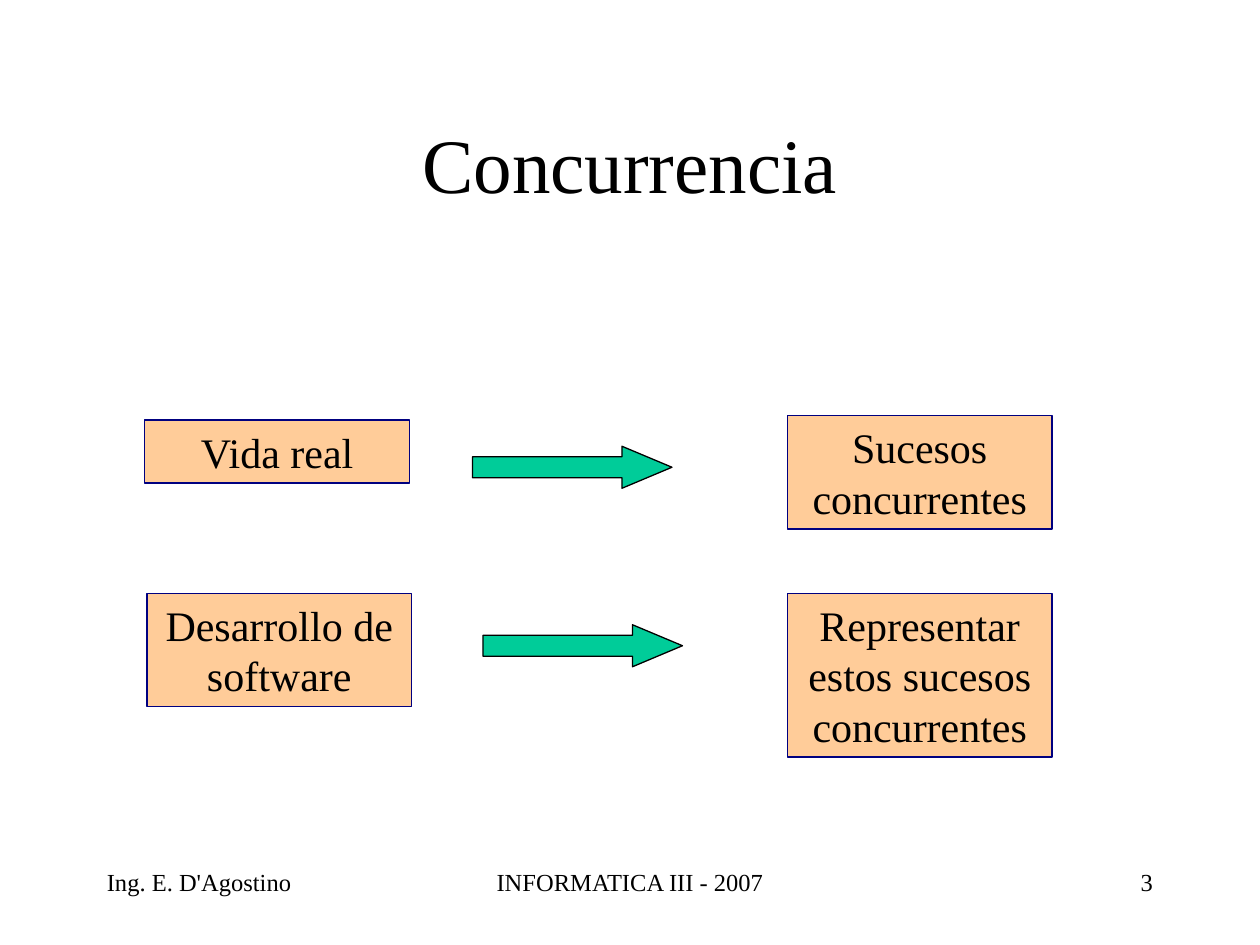
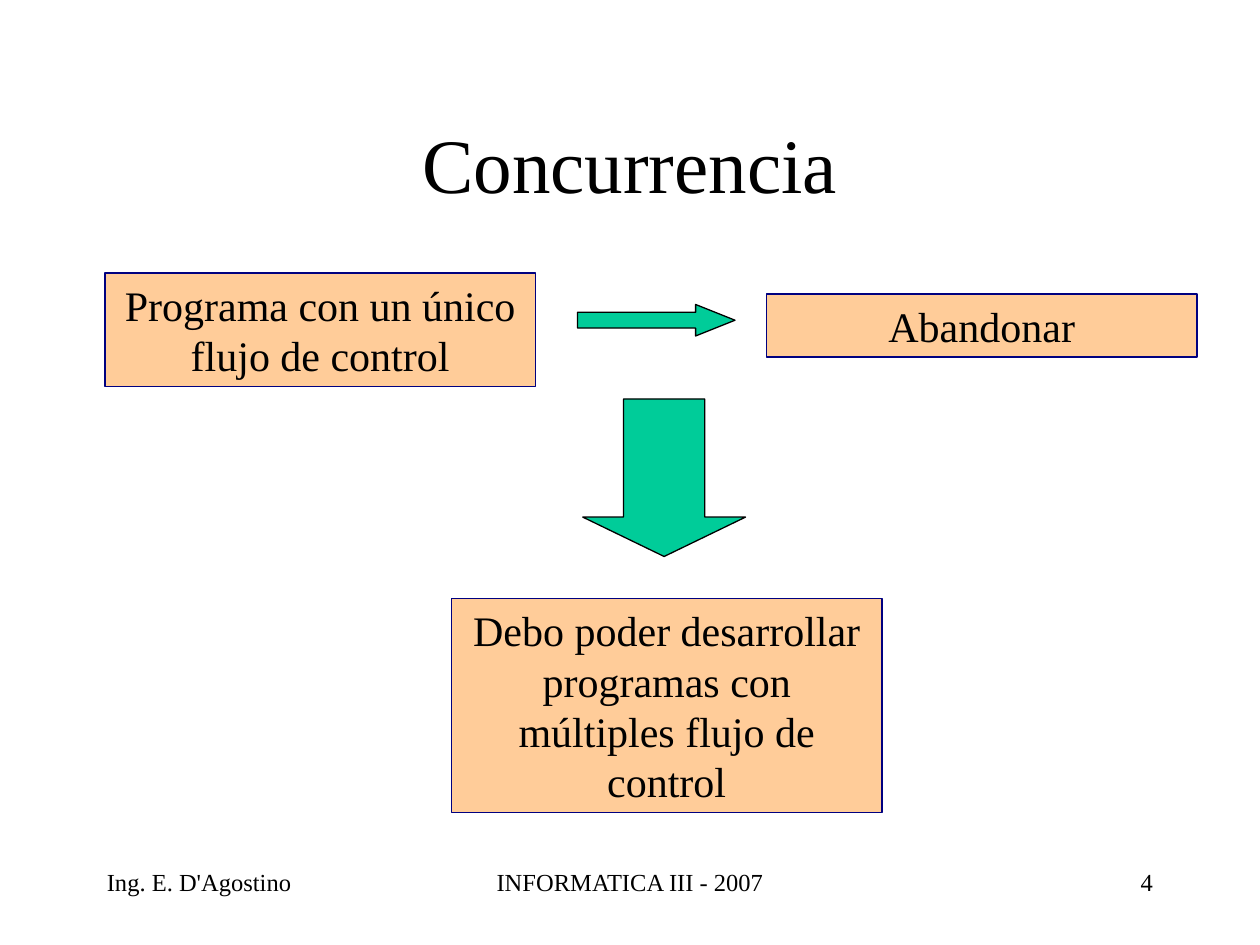
from dataclasses import dataclass

from pptx import Presentation
from pptx.dml.color import RGBColor
from pptx.enum.shapes import MSO_SHAPE as Preset
from pptx.enum.text import MSO_ANCHOR as Anchor, MSO_AUTO_SIZE as AutoSize, PP_ALIGN as Align
from pptx.util import Inches, Pt

COLOURS = {"ink": "000000", "box": "FFCC99", "box_edge": "000080", "arrow": "00CC99"}
FONT = "Times New Roman"
COLUMNS, ROWS = 120, 90
PAGE_WIDTH, PAGE_HEIGHT = Inches(10), Inches(7.5)
BOX_PADDING, LINE_ROWS = 1.2, 4.8


@dataclass(frozen=True)
class Area:
    column: float
    row: float
    columns: float
    rows: float

    def place(self) -> tuple[int, int, int, int]:
        across, down = PAGE_WIDTH / COLUMNS, PAGE_HEIGHT / ROWS
        return (round(self.column * across), round(self.row * down),
                round(self.columns * across), round(self.rows * down))


@dataclass(frozen=True)
class Label:
    text: str
    area: Area
    size: int
    align: Align
    anchor: Anchor = Anchor.TOP


@dataclass(frozen=True)
class Concept:
    text: str
    column: float
    row: float
    columns: float
    lines: int

    def area(self) -> Area:
        return Area(self.column, self.row, self.columns, BOX_PADDING + LINE_ROWS * self.lines)


@dataclass(frozen=True)
class Arrow:
    area: Area
    head: float
    preset: Preset = Preset.RIGHT_ARROW


@dataclass(frozen=True)
class Page:
    number: int
    concepts: tuple[Concept, ...]
    arrows: tuple[Arrow, ...]


NARROW, WIDE = 25.2, 41
PAGES = (
    Page(
        3,
        (
            Concept("Vida real", 13.8, 40, NARROW, 1),
            Concept("Sucesos concurrentes", 75, 39.6, NARROW, 2),
            Concept("Desarrollo de software", 14, 56.5, NARROW, 2),
            Concept("Representar estos sucesos concurrentes", 75, 56.5, NARROW, 3),
        ),
        (
            Arrow(Area(45, 42.5, 19, 4), 1.19),
            Arrow(Area(46, 59.5, 19, 4), 1.19),
        ),
    ),
    Page(
        4,
        (
            Concept("Programa con un único flujo de control", 10, 26, WIDE, 2),
            Concept("Abandonar", 73, 28, WIDE, 1),
            Concept("Debo poder desarrollar programas con múltiples flujo de control", 43, 57, WIDE, 4),
        ),
        (
            Arrow(Area(55, 29, 15, 3), 1.25),
            Arrow(Area(55.5, 38, 15.5, 15), 0.25, Preset.DOWN_ARROW),
        ),
    ),
)


def page_labels(number: int) -> tuple[Label, ...]:
    return (
        Label("Concurrencia", Area(9, 8, 102, 15), 44, Align.CENTER, Anchor.MIDDLE),
        Label("Ing. E. D'Agostino", Area(9, 82, 25, 6), 14, Align.LEFT),
        Label("INFORMATICA III - 2007", Area(41, 82, 38, 6), 14, Align.CENTER),
        Label(str(number), Area(86, 82, 25, 6), 14, Align.RIGHT),
    )


def colour(name: str) -> RGBColor:
    return RGBColor.from_string(COLOURS[name])


def set_all(target, values: dict) -> None:
    for name, value in values.items():
        setattr(target, name, value)


def write(shape, text: str, size: int, align: Align, frame_format: dict) -> None:
    frame = shape.text_frame
    set_all(frame, {"word_wrap": True} | frame_format)
    para = frame.paragraphs[0]
    para.alignment = align
    span = para.add_run()
    span.text = text
    set_all(span.font, {"name": FONT, "size": Pt(size)})
    span.font.color.rgb = colour("ink")


def add_preset(slide, preset: Preset, area: Area, fill: str, edge: str):
    shape = slide.shapes.add_shape(preset, *area.place())
    shape.shadow.inherit = False
    shape.fill.solid()
    shape.fill.fore_color.rgb = colour(fill)
    shape.line.color.rgb = colour(edge)
    shape.line.width = Pt(0.75)
    return shape


def draw_label(slide, label: Label) -> None:
    box = slide.shapes.add_textbox(*label.area.place())
    write(box, label.text, label.size, label.align,
          {"auto_size": AutoSize.NONE, "vertical_anchor": label.anchor})


def draw_concept(slide, concept: Concept) -> None:
    box = add_preset(slide, Preset.RECTANGLE, concept.area(), "box", "box_edge")
    write(box, concept.text, 24, Align.CENTER,
          {"auto_size": AutoSize.SHAPE_TO_FIT_TEXT, "vertical_anchor": Anchor.TOP})


def draw_arrow(slide, arrow: Arrow) -> None:
    shape = add_preset(slide, arrow.preset, arrow.area, "arrow", "ink")
    shape.adjustments[0] = 0.5
    shape.adjustments[1] = arrow.head


def main() -> None:
    deck = Presentation()
    set_all(deck, {"slide_width": PAGE_WIDTH, "slide_height": PAGE_HEIGHT})
    for page in PAGES:
        slide = deck.slides.add_slide(deck.slide_layouts[6])
        for label in page_labels(page.number):
            draw_label(slide, label)
        for concept in page.concepts:
            draw_concept(slide, concept)
        for arrow in page.arrows:
            draw_arrow(slide, arrow)
    deck.save("out.pptx")


if __name__ == "__main__":
    main()
